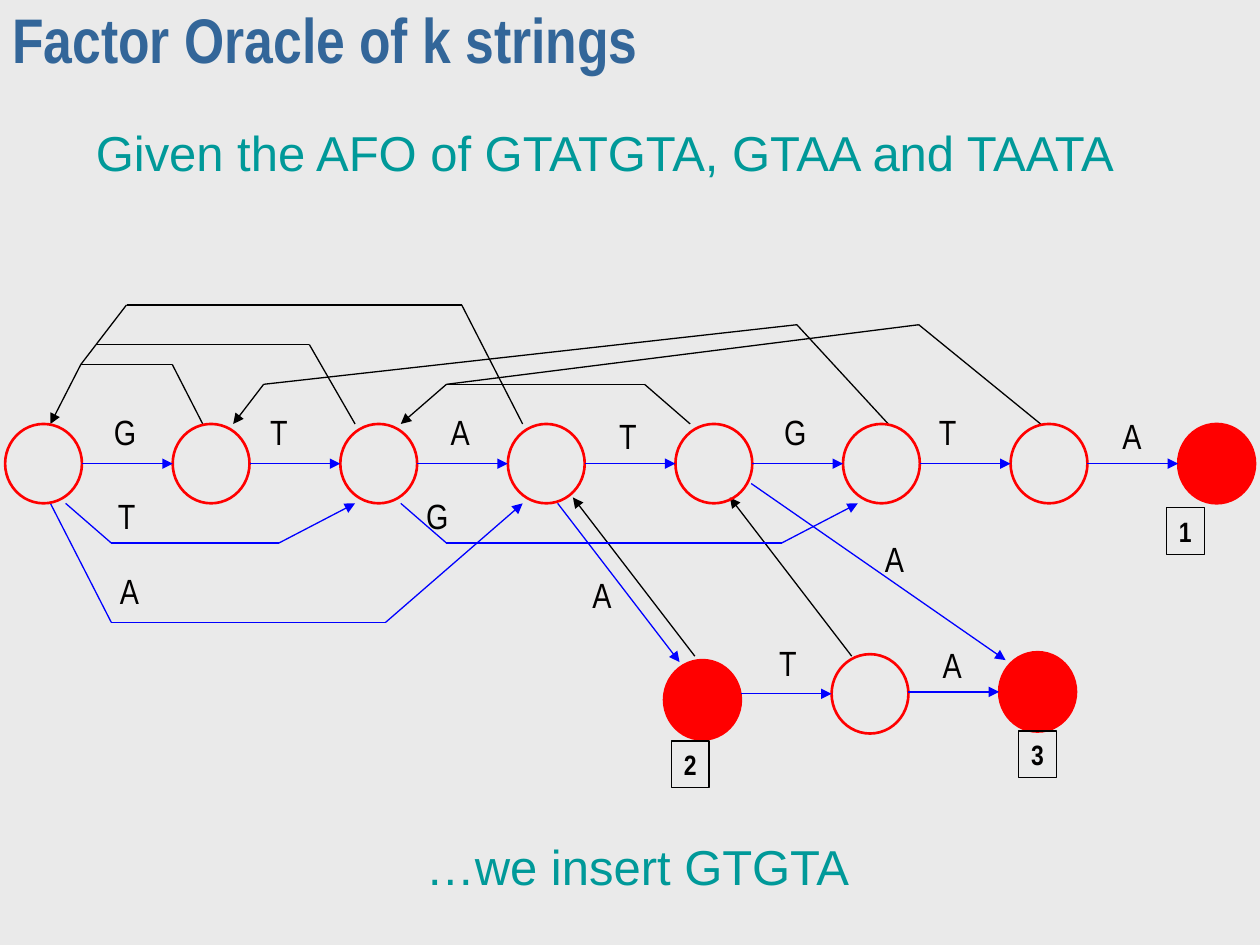
from lxml import etree
from pptx import Presentation, util as u
from pptx.dml.color import RGBColor
from pptx.enum import shapes, text
from pptx.oxml import ns

# Content: places are (column, row) on a fine grid around the main chain
COLORS = {"back": "EAEAEA", "title": "336699", "heading": "009999",
          "ink": "010000", "link": "000000", "edge": "0000FF", "node": "FF0000"}

TITLE = "Factor Oracle of k strings"
# wording, left, top, width
HEADINGS = [("Given the AFO of GTATGTA, GTAA and TAATA", 0.3, 0.92, 9),
            ("…we insert GTGTA", 0.48, 6.59, 9.16)]

NODE_STEP = 11
MAIN_CHAIN = [(-0.45 + NODE_STEP * i, 0) for i in range(8)]
BRANCH = [(42.8, 11.9), (53.8, 11.6), (64.8, 11.5)]
FINAL_NODES = [MAIN_CHAIN[-1], BRANCH[0], BRANCH[-1]]

LABELS = [
    ("G", 4.8, -1.6), ("T", 15, -1.6), ("A", 26.9, -1.6), ("T", 37.9, -1.4),
    ("G", 48.8, -1.6), ("T", 58.9, -1.6), ("A", 71, -1.4),
    ("T", 5, 2.6), ("A", 5.2, 6.4), ("G", 25.3, 2.6),
    ("A", 36.2, 6.6), ("A", 55.4, 4.8), ("T", 48.4, 10), ("A", 59.2, 10.1),
]
TAGS = [("1", 74.5, 3.4), ("2", 42, 15.15), ("3", 64.8, 14.65)]

# colour, ends in an arrowhead, points
PATHS = [
    ("link", True, [(10, -2), (8, -5), (2, -5), (0, -2)]),
    ("link", False, [(20, -2), (17, -6), (3, -6), (2, -5)]),
    ("link", False, [(31, -2), (27, -8), (5, -8), (3, -6)]),
    ("link", True, [(42, -2), (39, -4), (26, -4), (23, -2)]),
    ("link", True, [(55, -2), (49, -7), (14, -4), (12, -2)]),
    ("link", False, [(65, -2), (57, -7), (26, -4)]),
    ("link", True, [(42.3, 9.7), (34.3, 1.7)]),
    ("link", True, [(52.6, 9.7), (44.6, 1.7)]),
    ("edge", True, [(1, 2), (4, 4), (15, 4), (20, 2)]),
    ("edge", True, [(0, 2), (4, 8), (22, 8), (31, 2)]),
    ("edge", True, [(23, 2), (26, 4), (48, 4), (53, 2)]),
    ("edge", True, [(33.3, 2), (41.3, 10)]),
    ("edge", True, [(46, 1), (62.7, 9.9)]),
]

# Grid, in inches
ORIGIN_X, ORIGIN_Y = 0.4, 3.68
COLUMN, ROW = 1.33 / NODE_STEP, 0.63 / 4
NODE_WIDTH, NODE_HEIGHT = 0.61, 0.63

presentation = Presentation()
presentation.slide_width, presentation.slide_height = u.Inches(10), u.Inches(7.5)
slide = presentation.slides.add_slide(presentation.slide_layouts[6])


def color(name):
    return RGBColor.from_string(COLORS[name])


def place(point):
    return ORIGIN_X + point[0] * COLUMN, ORIGIN_Y + point[1] * ROW


def centered(point, width, height):
    x, y = place(point)
    return [u.Inches(v) for v in (x - width / 2, y - height / 2, width, height)]


def add_line(start, end, color_name, arrow):
    ends = [u.Inches(v) for v in (*place(start), *place(end))]
    line = slide.shapes.add_connector(shapes.MSO_CONNECTOR.STRAIGHT, *ends)
    line.line.color.rgb = color(color_name)
    line.line.width = u.Pt(0.75)
    if arrow:
        etree.SubElement(line.line._get_or_add_ln(), ns.qn("a:tailEnd"), type="triangle")
    etree.SubElement(line._element.spPr, ns.qn("a:effectLst"))


def add_shape(kind, box, line_name, line_width, fill_name=None):
    shape = slide.shapes.add_shape(kind, *box)
    shape.shadow.inherit = False
    shape.line.color.rgb = color(line_name)
    shape.line.width = u.Pt(line_width)
    if fill_name:
        shape.fill.solid()
        shape.fill.fore_color.rgb = color(fill_name)
    else:
        shape.fill.background()
    return shape


def write(shape, wording, size, color_name, font="Arial Narrow", bold=False,
          wrap=False, align=text.PP_ALIGN.CENTER, anchor=text.MSO_ANCHOR.MIDDLE):
    frame = shape.text_frame
    frame.text = wording
    frame.word_wrap = wrap
    frame.vertical_anchor = anchor
    paragraph = frame.paragraphs[0]
    paragraph.alignment = align
    run_font = paragraph.runs[0].font
    run_font.name, run_font.size, run_font.bold = font, u.Pt(size), bold
    run_font.color.rgb = color(color_name)
    return paragraph


# Background, title and headings
slide.background.fill.solid()
slide.background.fill.fore_color.rgb = color("back")
title = slide.shapes.add_textbox(0, 0, presentation.slide_width, u.Inches(0.75))
write(title, TITLE, 36, "title", bold=True, wrap=True,
      align=text.PP_ALIGN.LEFT).line_spacing = 0.7
for wording, left, top, width in HEADINGS:
    box = slide.shapes.add_textbox(*[u.Inches(v) for v in (left, top, width, 0.57)])
    write(box, wording, 28, "heading", font="Arial", wrap=True,
          anchor=text.MSO_ANCHOR.TOP)

# Bent and slanted paths
for color_name, arrow, points in PATHS:
    for i, (start, end) in enumerate(zip(points, points[1:]), 2):
        add_line(start, end, color_name, arrow and i == len(points))

# Nodes, and the level edges between neighbours
radius = NODE_WIDTH / 2 / COLUMN
for chain in (MAIN_CHAIN, BRANCH):
    for node in chain:
        add_shape(shapes.MSO_SHAPE.OVAL, centered(node, NODE_WIDTH, NODE_HEIGHT),
                  "node", 1.5, "node" if node in FINAL_NODES else None)
    for (column, _), (next_column, row) in zip(chain, chain[1:]):
        add_line((column + radius, row), (next_column - radius, row), "edge", True)

# Edge letters and numbered tags
for letter, *point in LABELS:
    label = slide.shapes.add_textbox(*centered(point, 0.35, 0.44))
    write(label, letter, 20, "ink")
for number, *point in TAGS:
    tag = add_shape(shapes.MSO_SHAPE.RECTANGLE, centered(point, 0.3, 0.37), "ink", 0.75)
    write(tag, number, 16, "ink", bold=True)

presentation.save("out.pptx")
